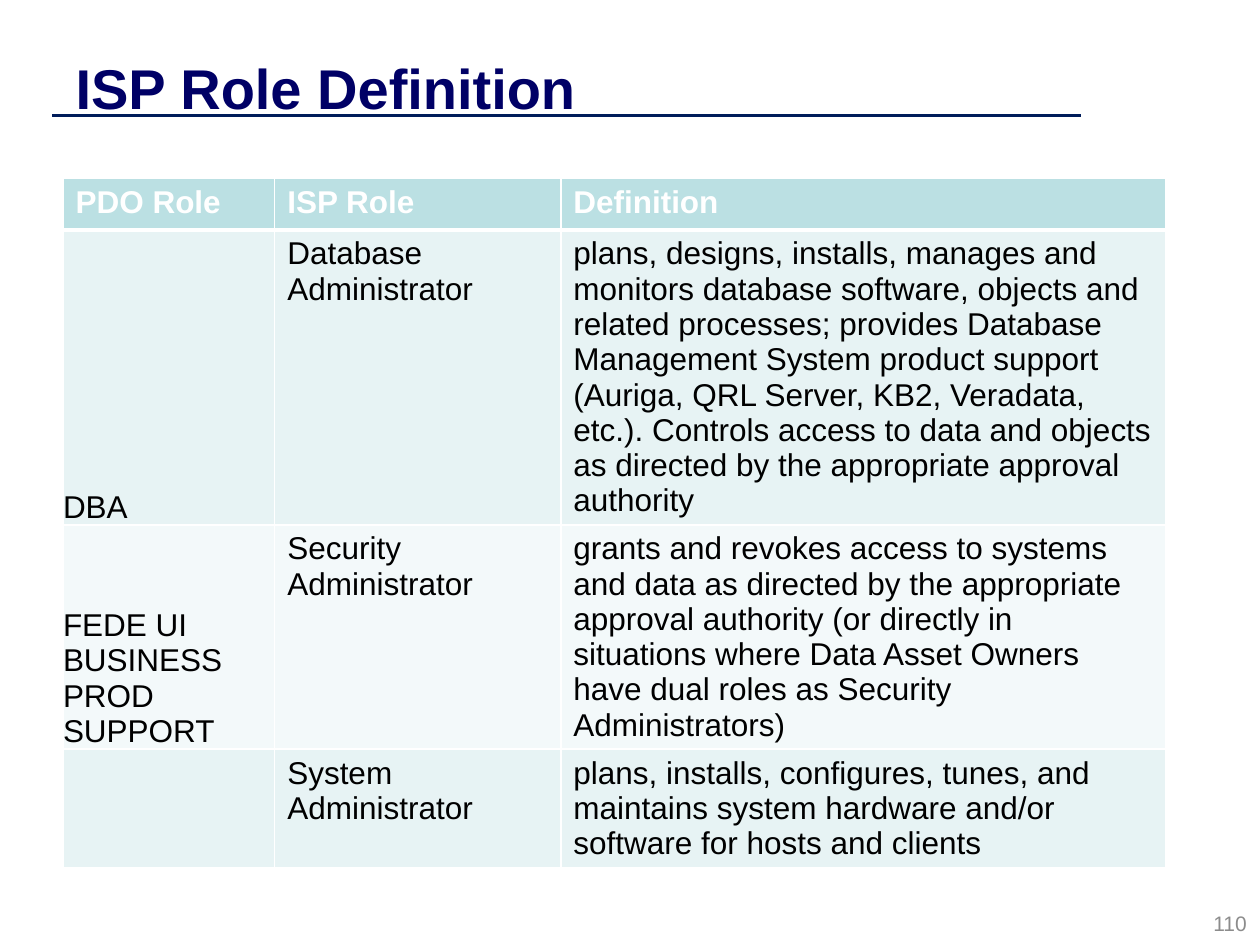
from dataclasses import dataclass

from lxml import etree
from pptx import Presentation
from pptx.dml.color import RGBColor
from pptx.enum.shapes import MSO_CONNECTOR
from pptx.enum.text import MSO_ANCHOR, MSO_AUTO_SIZE, PP_ALIGN
from pptx.oxml.ns import qn
from pptx.util import Pt

TOP, MIDDLE, BOTTOM = MSO_ANCHOR.TOP, MSO_ANCHOR.MIDDLE, MSO_ANCHOR.BOTTOM
LEFT, RIGHT = PP_ALIGN.LEFT, PP_ALIGN.RIGHT
NO_FIT = MSO_AUTO_SIZE.NONE
STRAIGHT = MSO_CONNECTOR.STRAIGHT
TITLE_ONLY = 5


@dataclass(frozen=True)
class Theme:
    font: str = "Arial"
    title: str = "000066"
    rule: str = "001C5A"
    head: str = "BBE0E3"
    bands: tuple = ("E7F3F4", "F3F9FA")
    white: str = "FFFFFF"
    text: str = "000000"
    muted: str = "8C8C8C"
    big: int = 32
    body: int = 18
    small: int = 12


THEME = Theme()
WIDTHS = (121, 163.5, 345.5)
HEIGHTS = (29.5, 168, 128, 67)
HEADS = ("PDO Role", "ISP Role", "Definition")
ROLES = (
    ("DBA", "Database Administrator",
     "plans, designs, installs, manages and monitors database software, "
     "objects and related processes; provides Database Management System "
     "product support (Auriga, QRL Server, KB2, Veradata, etc.). Controls "
     "access to data and objects as directed by the appropriate approval "
     "authority"),
    ("FEDE UI BUSINESS PROD SUPPORT", "Security Administrator",
     "grants and revokes access to systems and data as directed by the "
     "appropriate approval authority (or directly in situations where Data "
     "Asset Owners have dual roles as Security Administrators)"),
    ("", "System Administrator",
     "plans, installs, configures, tunes, and maintains system hardware "
     "and/or software for hosts and clients"),
)


def add_run(frame, text, size, color, bold=False, align=LEFT):
    para = frame.paragraphs[0]
    para.alignment = align
    run = para.add_run()
    run.text = text
    font = run.font
    font.name, font.size, font.bold = THEME.font, Pt(size), bold
    font.color.rgb = RGBColor.from_string(color)


def add_title(slide, text):
    title = slide.shapes.title
    title.left, title.top = Pt(36), Pt(21.6)
    title.width, title.height = Pt(576), Pt(56)
    frame = title.text_frame
    frame.auto_size, frame.vertical_anchor = NO_FIT, MIDDLE
    add_run(frame, text, THEME.big, THEME.title, bold=True)


def add_rule(slide, left, right, top):
    rule = slide.shapes.add_connector(
        STRAIGHT, Pt(left), Pt(top), Pt(right), Pt(top))
    rule.line.width = Pt(2)
    rule.line.color.rgb = RGBColor.from_string(THEME.rule)
    etree.SubElement(rule._element.spPr, qn("a:effectLst"))


def set_edges(cell, top, bottom):
    """Draw white cell borders; must come before the cell's fill."""
    props = cell._tc.get_or_add_tcPr()
    for side, width in zip("LRTB", (1, 1, top, bottom)):
        edge = etree.SubElement(props, qn(f"a:ln{side}"), w=str(Pt(width)))
        fill = etree.SubElement(edge, qn("a:solidFill"))
        etree.SubElement(fill, qn("a:srgbClr"), val=THEME.white)


def fill_cell(cell, text, row, col):
    head = row == 0
    set_edges(cell, 3 if row == 1 else 1, 3 if head else 1)
    cell.fill.solid()
    cell.fill.fore_color.rgb = RGBColor.from_string(
        THEME.head if head else THEME.bands[(row - 1) % 2])
    cell.vertical_anchor = TOP
    if col == 0 and not head:
        cell.vertical_anchor = BOTTOM
        cell.margin_left = cell.margin_right = 0
        cell.margin_top = cell.margin_bottom = 0
    if text:
        color = THEME.white if head else THEME.text
        add_run(cell.text_frame, text, THEME.body, color, bold=head)


def add_grid(slide, left, top):
    rows = (HEADS,) + ROLES
    table = slide.shapes.add_table(
        len(rows), len(HEADS), Pt(left), Pt(top),
        Pt(sum(WIDTHS)), Pt(sum(HEIGHTS))).table
    for col, width in zip(table.columns, WIDTHS):
        col.width = Pt(width)
    for row, height in zip(table.rows, HEIGHTS):
        row.height = Pt(height)
    for r, texts in enumerate(rows):
        for c, text in enumerate(texts):
            fill_cell(table.cell(r, c), text, r, c)


def add_number(slide, text):
    box = slide.shapes.add_textbox(Pt(551.5), Pt(515.5), Pt(168), Pt(24.5))
    frame = box.text_frame
    frame.word_wrap, frame.vertical_anchor = True, MIDDLE
    add_run(frame, text, THEME.small, THEME.muted, align=RIGHT)


def main():
    deck = Presentation()
    deck.slide_width, deck.slide_height = Pt(720), Pt(540)
    slide = deck.slides.add_slide(deck.slide_layouts[TITLE_ONLY])
    add_rule(slide, 30, 618, 66)
    add_title(slide, "ISP Role Definition")
    add_grid(slide, 36, 102)
    add_number(slide, "110")
    deck.save("out.pptx")


if __name__ == "__main__":
    main()
